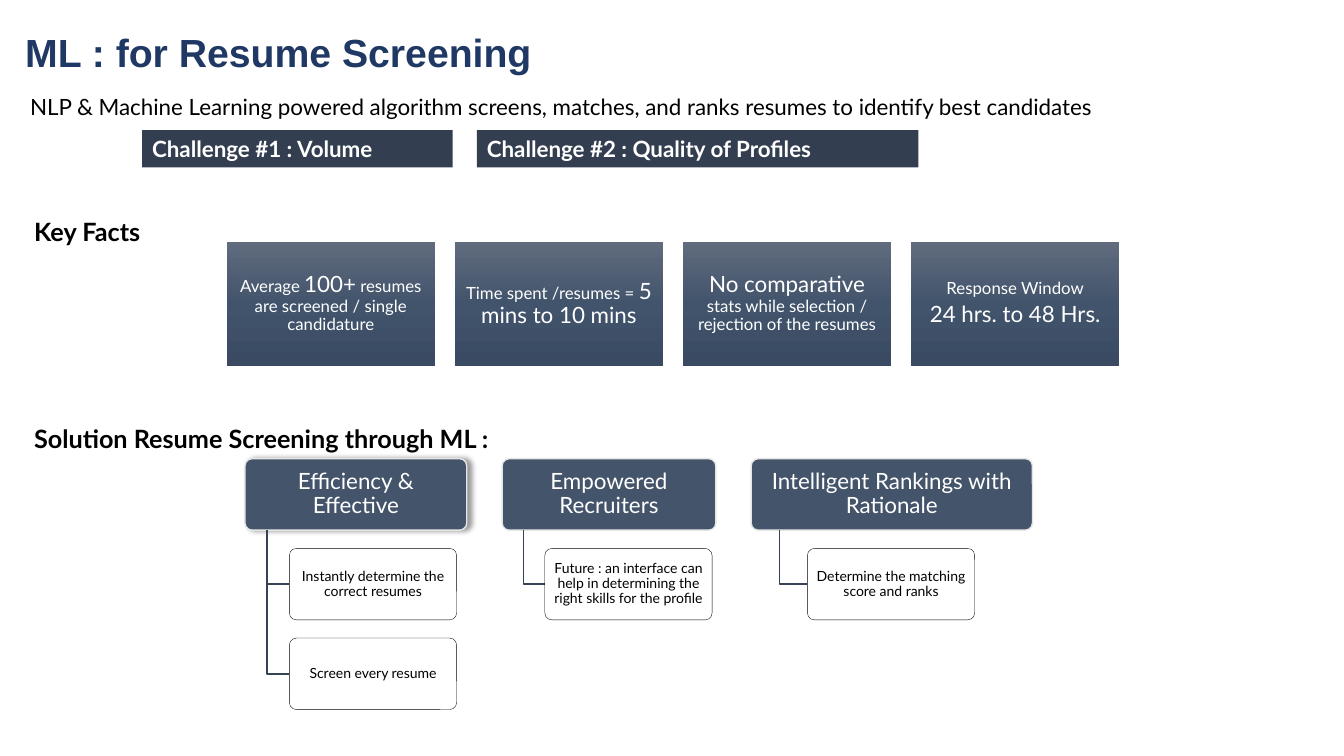
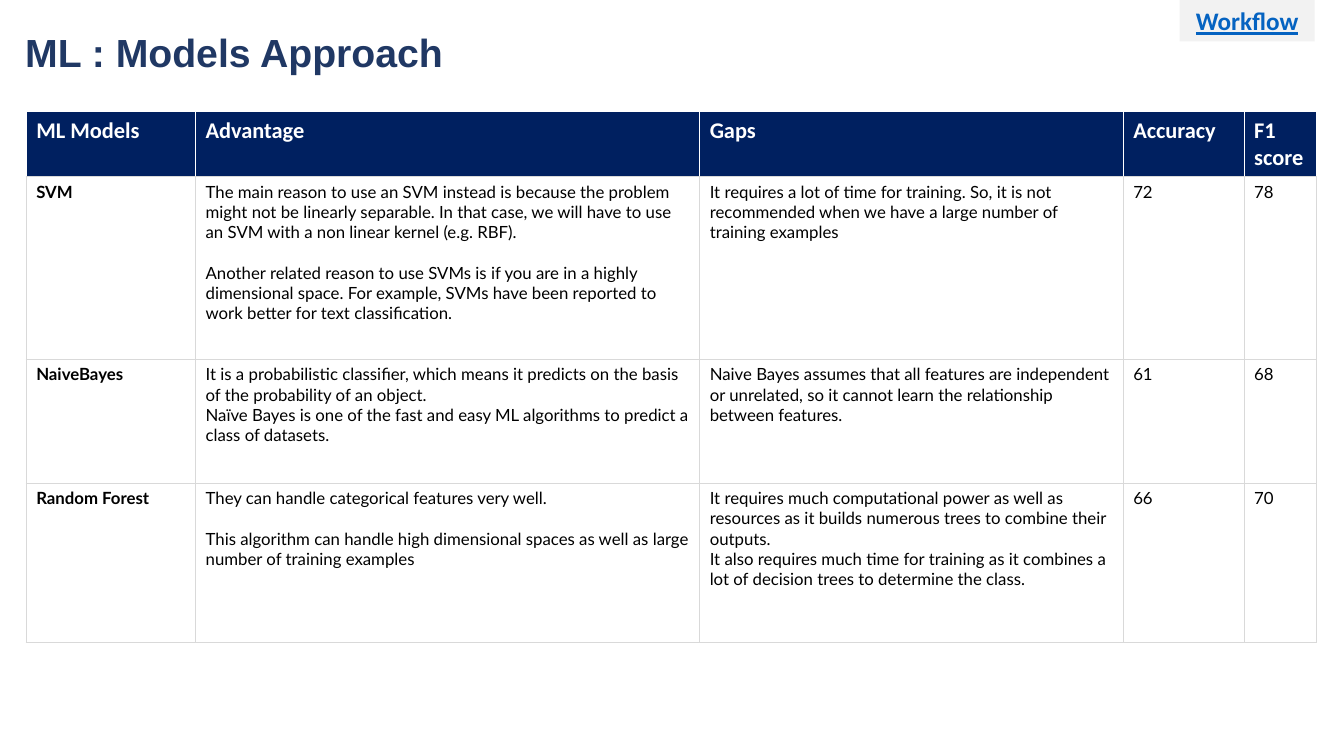
from copy import deepcopy
from dataclasses import dataclass
from typing import NamedTuple

from lxml.etree import SubElement
from pptx import Presentation
from pptx.dml.color import RGBColor
from pptx.enum.shapes import MSO_SHAPE as Preset
from pptx.enum.text import MSO_ANCHOR as Anchor, MSO_AUTO_SIZE as AutoSize, PP_ALIGN as Align
from pptx.oxml.ns import qn
from pptx.util import Emu, Pt

EMU_PER_PX = 9144


def px(length):
    return Emu(round(length * EMU_PER_PX))


@dataclass(frozen=True)
class Theme:
    title_ink: str = "203864"
    ink: str = "000000"
    paper: str = "FFFFFF"
    tag: str = "333F50"
    card: tuple = ((0, "606B7D"), (0.5, "42546C"), (1, "394A62"))
    branch: str = "44546A"
    branch_edge: str = "E7E6E6"
    stem: str = "364355"
    header: str = "002060"
    grid: str = "D9D9D9"
    button: str = "F2F2F2"
    link: str = "0563C1"
    title_font: str = "Arial"
    body_font: str = "Lato"
    accent_font: str = "Calibri"
    title_size: int = 28
    heading_size: int = 18
    large: int = 16
    medium: int = 12
    small: int = 10


THEME = Theme()


class Box(NamedTuple):
    left: int
    top: int
    width: int
    height: int

    def emu(self):
        return [px(length) for length in self]


class Model(NamedTuple):
    name: str
    advantage: str
    gaps: str
    accuracy: str
    f1_score: str
    height: int
    advantage_gap: float = 0


CHALLENGES = (("Challenge #1 : Volume", 308), ("Challenge #2 : Quality of Profiles", 438))

# Each fact holds paragraphs, and each paragraph holds (text, size) runs.
FACTS = (
    [[("Average ", THEME.medium), ("100+", THEME.large),
      (" resumes are screened / single candidature", THEME.medium)]],
    [[("Time spent /resumes = ", THEME.medium), ("5 mins to 10 mins", THEME.large)]],
    [[("No comparative ", THEME.large),
      ("stats while selection / rejection of the resumes", THEME.medium)]],
    [[("Response Window", THEME.medium)], [("24 hrs. to 48 Hrs.", THEME.large)]],
)

SOLUTIONS = (
    ("Efficiency & Effective", 220,
     ("Instantly determine the correct resumes", "Screen every resume")),
    ("Empowered Recruiters", 212,
     ("Future : an interface can help in determining the right skills for the profile",)),
    ("Intelligent Rankings with Rationale", 279, ("Determine the matching score and ranks",)),
)

COLUMNS = (("ML Models", 168), ("Advantage", 500), ("Gaps", 420), ("Accuracy", 120),
           ("F1 score", 72))
HEADER_HEIGHT = 61
MODELS = (
    Model("SVM",
          "The main reason to use an SVM instead is because the problem might not be linearly "
          "separable. In that case, we will have to use an SVM with a non linear kernel "
          "(e.g. RBF).\n"
          "Another related reason to use SVMs is if you are in a highly dimensional space. "
          "For example, SVMs have been reported to work better for text classification.",
          "It requires a lot of time for training. So, it is not recommended when we have a "
          "large number of training examples",
          "72", "78", 181, 14.4),
    Model("NaiveBayes",
          "It is a probabilistic classifier, which means it predicts on the basis of the "
          "probability of an object.\n"
          "Naïve Bayes is one of the fast and easy ML algorithms to predict a class of datasets.",
          "Naive Bayes assumes that all features are independent or unrelated, so it cannot "
          "learn the relationship between features.",
          "61", "68", 123),
    Model("Random Forest",
          "They can handle categorical features very well.\n"
          "This algorithm can handle high dimensional spaces as well as large number of "
          "training examples",
          "It requires much computational power as well as resources as it builds numerous "
          "trees to combine their outputs.\n"
          "It also requires much time for training as it combines a lot of decision trees to "
          "determine the class.",
          "66", "70", 158, 14.4),
)


def rgb(color):
    return RGBColor.from_string(color)


def style_font(font, size, color, name=THEME.body_font, bold=False):
    font.size, font.name, font.bold = Pt(size), name, bold
    font.color.rgb = rgb(color)


def write(frame, text, size, color, name=THEME.body_font, bold=False):
    frame.word_wrap = True
    frame.text = text
    for paragraph in frame.paragraphs:
        for run in paragraph.runs:
            style_font(run.font, size, color, name, bold)


def center(frame, inset_x, inset_y, spacing=0.9):
    frame.word_wrap = True
    frame.vertical_anchor = Anchor.MIDDLE
    frame.margin_left = frame.margin_right = px(inset_x)
    frame.margin_top = frame.margin_bottom = px(inset_y)
    for paragraph in frame.paragraphs:
        paragraph.alignment = Align.CENTER
        paragraph.line_spacing = spacing


def add_panel(slide, box, fill=None, edge=None, edge_width=1, preset=Preset.RECTANGLE):
    panel = slide.shapes.add_shape(preset, *box.emu())
    panel.shadow.inherit = False
    if preset == Preset.ROUNDED_RECTANGLE:
        panel.adjustments[0] = 0.1
    if fill:
        panel.fill.solid()
        panel.fill.fore_color.rgb = rgb(fill)
    else:
        panel.fill.background()
    if edge:
        panel.line.color.rgb = rgb(edge)
        panel.line.width = Pt(edge_width)
    else:
        panel.line.fill.background()
    return panel


def add_label(slide, box, text, size, bold=False):
    label = slide.shapes.add_textbox(*box.emu())
    write(label.text_frame, text, size, THEME.ink, bold=bold)


def add_titled_slide(deck, text):
    slide = deck.slides.add_slide(deck.slide_layouts.get_by_name("Title Only"))
    title = slide.shapes.title
    title.left, title.top, title.width, title.height = Box(15, 19, 1308, 64).emu()
    frame = title.text_frame
    write(frame, text, THEME.title_size, THEME.title_ink, THEME.title_font, bold=True)
    frame.auto_size = AutoSize.NONE
    frame.vertical_anchor = Anchor.MIDDLE
    frame.paragraphs[0].alignment = Align.LEFT
    return slide


def add_challenges(slide, box, gap=24):
    left = box.left
    for text, width in CHALLENGES:
        tag = add_panel(slide, Box(left, box.top, width, box.height), THEME.tag)
        write(tag.text_frame, text, THEME.large, THEME.paper, bold=True)
        tag.text_frame.vertical_anchor = Anchor.TOP
        tag.text_frame.paragraphs[0].alignment = Align.LEFT
        left += width + gap


def fill_card(card):
    """Give the card its vertical gradient of three stops."""
    card.fill.gradient()
    card.fill.gradient_angle = 270
    stops = card.element.spPr.find(".//" + qn("a:gsLst"))
    stops.insert(1, deepcopy(stops[0]))
    for stop, (position, color) in zip(card.fill.gradient_stops, THEME.card):
        stop.position = position
        stop.color.rgb = rgb(color)


def add_facts(slide, box, gap=20):
    width = (box.width - gap * (len(FACTS) - 1)) / len(FACTS)
    for index, fact in enumerate(FACTS):
        left = box.left + index * (width + gap)
        card = add_panel(slide, Box(left, box.top, width, box.height))
        fill_card(card)
        frame = card.text_frame
        for row, parts in enumerate(fact):
            paragraph = frame.add_paragraph() if row else frame.paragraphs[0]
            if row:
                paragraph.space_before = Pt(4)
            for text, size in parts:
                run = paragraph.add_run()
                run.text = text
                style_font(run.font, size, THEME.paper)
        center(frame, 6, 6)


def add_right_shadow(panel):
    effects = panel.element.spPr.find(qn("a:effectLst"))
    shadow = SubElement(effects, qn("a:outerShdw"), blurRad=str(Pt(4)), dist=str(Pt(3)),
                        dir="0", algn="l", rotWithShape="0")
    color = SubElement(shadow, qn("a:srgbClr"), val=THEME.ink)
    SubElement(color, qn("a:alpha"), val="40000")


def add_stem(slide, left, top, right, bottom):
    builder = slide.shapes.build_freeform(px(left), px(top))
    builder.add_line_segments([(px(left), px(bottom)), (px(right), px(bottom))], close=False)
    stem = builder.convert_to_shape()
    stem.shadow.inherit = False
    stem.fill.background()
    stem.line.color.rgb = rgb(THEME.stem)
    stem.line.width = Pt(1)


def add_branch(slide, box, heading, leaves, leaf_width=166, gap=18):
    """Draw a heading with its leaves hanging below, indented by tenths of its width."""
    head = add_panel(slide, box, THEME.branch, THEME.branch_edge,
                     preset=Preset.ROUNDED_RECTANGLE)
    write(head.text_frame, heading, THEME.large, THEME.paper)
    center(head.text_frame, 5, 4)
    stem_left = box.left + box.width / 10
    leaf_left = box.left + box.width / 5
    bottom = box.top + box.height
    for index, text in enumerate(leaves):
        top = bottom + gap + index * (box.height + gap)
        add_stem(slide, stem_left, bottom, leaf_left, top + box.height / 2)
        leaf = add_panel(slide, Box(leaf_left, top, leaf_width, box.height), edge=THEME.ink,
                         edge_width=0.25, preset=Preset.ROUNDED_RECTANGLE)
        write(leaf.text_frame, text, THEME.small, THEME.ink)
        center(leaf.text_frame, 4, 3)
    return head


def add_solutions(slide, box, gap=35):
    left = box.left
    for index, (heading, width, leaves) in enumerate(SOLUTIONS):
        head = add_branch(slide, Box(left, box.top, width, box.height), heading, leaves)
        if index == 0:
            add_right_shadow(head)
        left += width + gap


def set_cell(cell, text, fill, edge):
    """Fill the cell, write plain text in it and draw its four borders."""
    cell.text_frame.text = text
    cell.fill.solid()
    cell.fill.fore_color.rgb = rgb(fill)
    properties = cell._tc.get_or_add_tcPr()
    for index, side in enumerate("LRTB"):
        line = SubElement(properties, qn("a:ln" + side), w=str(Pt(1)))
        color = THEME.grid if side == "B" else edge
        SubElement(SubElement(line, qn("a:solidFill")), qn("a:srgbClr"), val=color)
        properties.insert(index, line)


def add_model_table(slide, box):
    table = slide.shapes.add_table(len(MODELS) + 1, len(COLUMNS), *box.emu()).table
    table.horz_banding = False
    table.rows[0].height = px(HEADER_HEIGHT)
    for column, (heading, width) in enumerate(COLUMNS):
        table.columns[column].width = px(width)
        cell = table.cell(0, column)
        set_cell(cell, heading, THEME.header, THEME.paper)
        write(cell.text_frame, heading, THEME.large, THEME.paper, THEME.accent_font, bold=True)
    for row, model in enumerate(MODELS, 1):
        table.rows[row].height = px(model.height)
        for column, text in enumerate(model[:len(COLUMNS)]):
            cell = table.cell(row, column)
            set_cell(cell, text, THEME.paper, THEME.grid)
            write(cell.text_frame, text, THEME.medium, THEME.ink, bold=column == 0)
        for paragraph in table.cell(row, 1).text_frame.paragraphs[1:]:
            paragraph.space_before = Pt(model.advantage_gap)


def add_workflow_button(slide, box):
    button = add_panel(slide, box, THEME.button)
    write(button.text_frame, "Workflow", THEME.heading_size, THEME.link, THEME.accent_font,
          bold=True)
    button.text_frame.paragraphs[0].runs[0].font.underline = True
    center(button.text_frame, 10, 5, spacing=1)


def build_screening_slide(deck):
    slide = add_titled_slide(deck, "ML : for Resume Screening")
    add_label(slide, Box(20, 88, 1298, 37),
              "NLP & Machine Learning powered algorithm screens, matches, and ranks resumes "
              "to identify best candidates", THEME.large)
    add_challenges(slide, Box(141, 129, 770, 37))
    add_facts(slide, Box(225, 240, 885, 123))
    add_solutions(slide, Box(243, 455, 781, 71))
    add_label(slide, Box(24, 210, 251, 40), "Key Facts", THEME.heading_size, bold=True)
    add_label(slide, Box(24, 415, 1285, 40), "Solution Resume Screening through ML :",
              THEME.heading_size, bold=True)


def build_models_slide(deck):
    slide = add_titled_slide(deck, "ML : Models Approach")
    add_model_table(slide, Box(26, 111, 1280, 525))
    add_workflow_button(slide, Box(1170, 0, 134, 41))


def main():
    deck = Presentation()
    deck.slide_width, deck.slide_height = px(1333), px(750)
    build_screening_slide(deck)
    build_models_slide(deck)
    deck.save("out.pptx")


if __name__ == "__main__":
    main()
